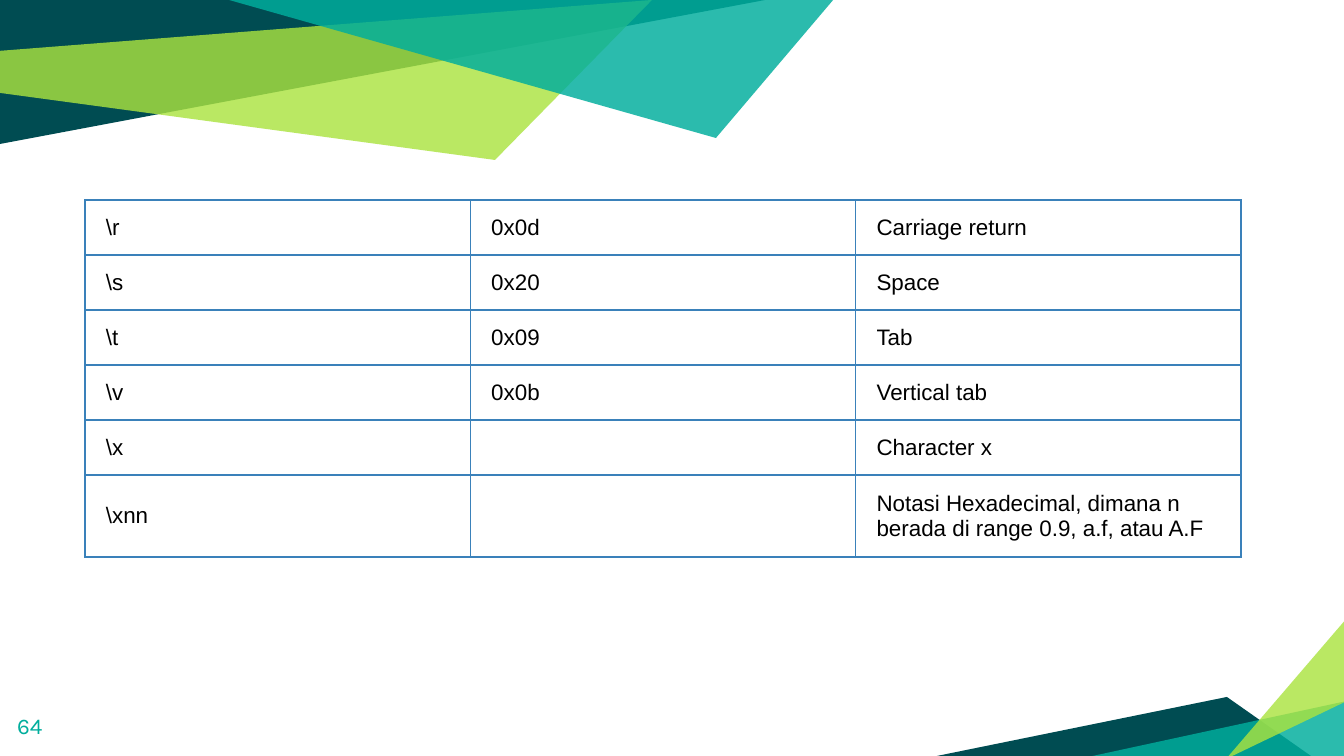
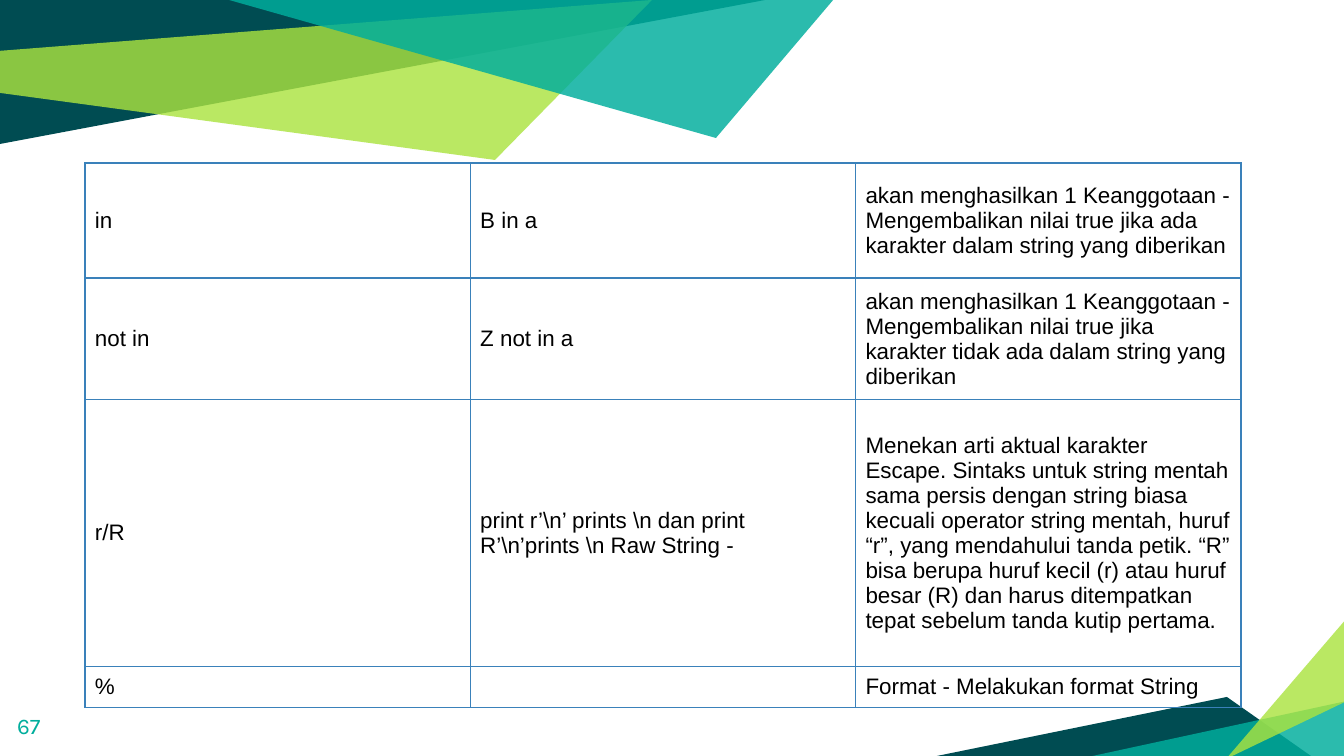
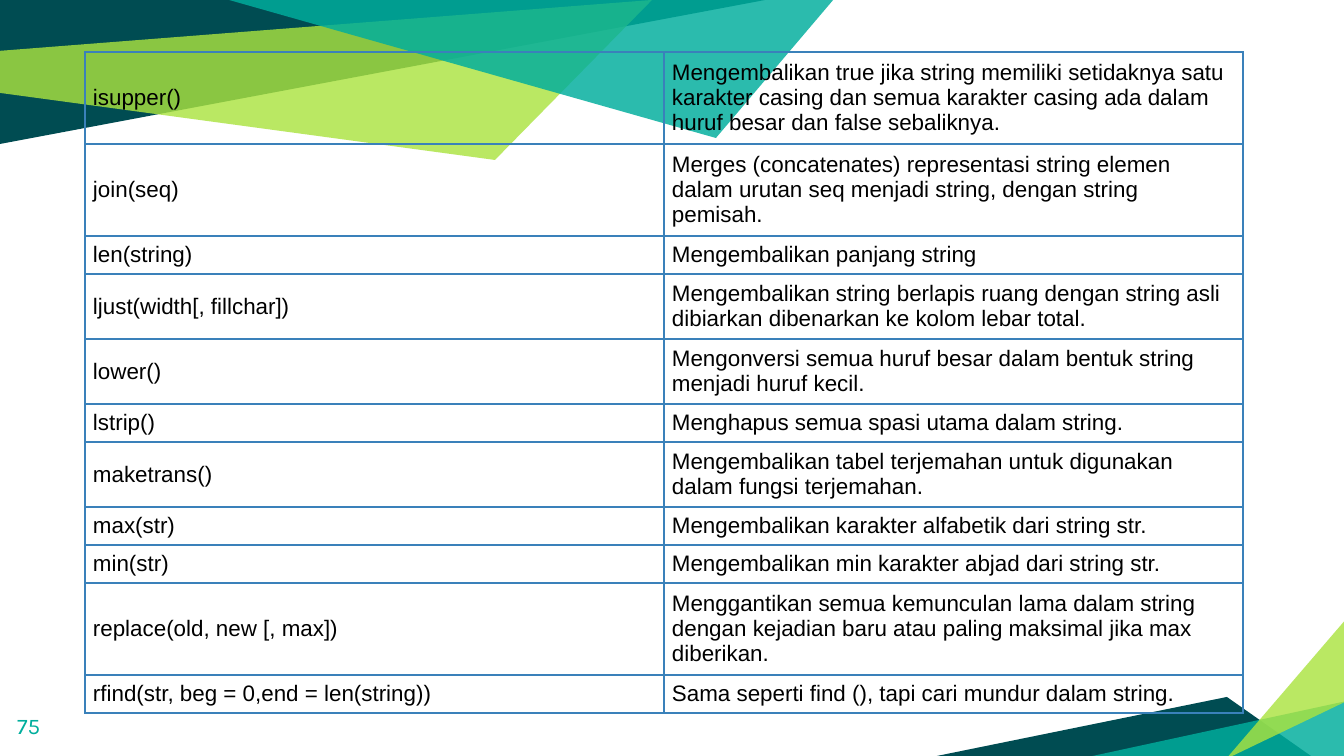
from dataclasses import dataclass

from lxml.etree import SubElement
from pptx import Presentation
from pptx.dml.color import RGBColor
from pptx.enum.text import MSO_ANCHOR as Anchor
from pptx.oxml.ns import qn
from pptx.util import Pt

EMU_PER_PX = 914400 / 134.4
SLIDE_SIZE = (1344, 756)


@dataclass(frozen=True)
class Theme:
    dark: str = "004C52"
    lime: str = "ABE33F"
    teal: str = "00AE9D"
    ink: str = "000000"
    grid: str = "3A81BA"
    body_font: str = "Arial"
    number_font: str = "Karla"
    text_size: int = 12
    grid_width: int = 1


THEME = Theme()

# Colour, opacity in percent, corners in px; from back to front.
FACETS = [
    (THEME.dark, 100, [(0, 0), (0, 144), (765, 0)]),
    (THEME.lime, 81, [(-1, 51), (0, 93), (495, 160), (652, 0)]),
    (THEME.dark, 100, [(937, 756), (1311, 756), (1227, 697)]),
    (THEME.teal, 83, [(1347, 701), (1347, 759), (1079, 759)]),
    (THEME.lime, 81, [(1347, 701), (1347, 618), (1226, 759)]),
    (THEME.teal, 83, [(229, 0), (716, 138), (834, -1), (818, 0)]),
]
NUMBER_BOX = (4, 697, 81, 58)
NUMBER_INSET = 13
TABLE_LEFT = 85

PAGES = [
    dict(number=64, top=200, width=1156, inset=(21, 13),
         heights=[55, 55, 55, 55, 55, 82],
         rows=[
             (r"\r", "0x0d", "Carriage return"),
             (r"\s", "0x20", "Space"),
             (r"\t", "0x09", "Tab"),
             (r"\v", "0x0b", "Vertical tab"),
             (r"\x", "", "Character x"),
             (r"\xnn", "", "Notasi Hexadecimal, dimana n berada di range 0.9, "
                           "a.f, atau A.F"),
         ]),
    dict(number=67, top=163, width=1156, inset=(10, 7),
         heights=[115, 121, 267, 41],
         rows=[
             ("in", "B in a",
              "akan menghasilkan 1 Keanggotaan - Mengembalikan nilai true "
              "jika ada karakter dalam string yang diberikan"),
             ("not in", "Z not in a",
              "akan menghasilkan 1 Keanggotaan - Mengembalikan nilai true "
              "jika karakter tidak ada dalam string yang diberikan"),
             ("r/R", r"print r’\n’ prints \n dan print R’\n’prints \n Raw String -",
              "Menekan arti aktual karakter Escape. Sintaks untuk string "
              "mentah sama persis dengan string biasa kecuali operator string "
              "mentah, huruf “r”, yang mendahului tanda petik. “R” bisa berupa "
              "huruf kecil (r) atau huruf besar (R) dan harus ditempatkan "
              "tepat sebelum tanda kutip pertama."),
             ("%", "", "Format - Melakukan format String"),
         ]),
    dict(number=75, top=52, width=1158, inset=(8, 5),
         heights=[92, 92, 38, 65, 65, 38, 65, 38, 38, 92, 38],
         rows=[
             ("isupper()",
              "Mengembalikan true jika string memiliki setidaknya satu "
              "karakter casing dan semua karakter casing ada dalam huruf besar "
              "dan false sebaliknya."),
             ("join(seq)",
              "Merges (concatenates) representasi string elemen dalam urutan "
              "seq menjadi string, dengan string pemisah."),
             ("len(string)", "Mengembalikan panjang string"),
             ("ljust(width[, fillchar])",
              "Mengembalikan string berlapis ruang dengan string asli "
              "dibiarkan dibenarkan ke kolom lebar total."),
             ("lower()",
              "Mengonversi semua huruf besar dalam bentuk string menjadi "
              "huruf kecil."),
             ("lstrip()", "Menghapus semua spasi utama dalam string."),
             ("maketrans()",
              "Mengembalikan tabel terjemahan untuk digunakan dalam fungsi "
              "terjemahan."),
             ("max(str)", "Mengembalikan karakter alfabetik dari string str."),
             ("min(str)", "Mengembalikan min karakter abjad dari string str."),
             ("replace(old, new [, max])",
              "Menggantikan semua kemunculan lama dalam string dengan kejadian "
              "baru atau paling maksimal jika max diberikan."),
             ("rfind(str, beg = 0,end = len(string))",
              "Sama seperti find (), tapi cari mundur dalam string."),
         ]),
]


def px(length):
    return round(length * EMU_PER_PX)


def write(frame, text, *, font=THEME.body_font, color=THEME.ink,
          size=THEME.text_size):
    """Fill a text frame; an empty one still keeps the line height of its size."""
    frame.word_wrap = True
    paragraph = frame.paragraphs[0]
    if not text:
        SubElement(paragraph._p, qn("a:endParaRPr"), sz=str(size * 100))
        return
    run = paragraph.add_run()
    run.text = text
    run.font.name = font
    run.font.size = Pt(size)
    run.font.color.rgb = RGBColor.from_string(color)


def set_insets(holder, across, down):
    holder.margin_left = holder.margin_right = px(across)
    holder.margin_top = holder.margin_bottom = px(down)


def add_facet(slide, color, opacity, corners):
    start, *others = corners
    outline = slide.shapes.build_freeform(*start, scale=EMU_PER_PX)
    outline.add_line_segments(others, close=True)
    facet = outline.convert_to_shape()
    facet.shadow.inherit = False
    facet.line.fill.background()
    facet.fill.solid()
    facet.fill.fore_color.rgb = RGBColor.from_string(color)
    if opacity < 100:
        tint = facet._element.spPr.find(".//" + qn("a:srgbClr"))
        SubElement(tint, qn("a:alpha"), val=str(opacity * 1000))


def add_page_number(slide, number):
    frame = slide.shapes.add_textbox(*map(px, NUMBER_BOX)).text_frame
    set_insets(frame, NUMBER_INSET, NUMBER_INSET)
    frame.vertical_anchor = Anchor.MIDDLE
    write(frame, str(number), font=THEME.number_font, color=THEME.teal)


def outline_cell(cell):
    properties = cell._tc.get_or_add_tcPr()
    for side in ("lnL", "lnR", "lnT", "lnB"):
        border = SubElement(properties, qn(f"a:{side}"),
                            w=str(Pt(THEME.grid_width)))
        paint = SubElement(border, qn("a:solidFill"))
        SubElement(paint, qn("a:srgbClr"), val=THEME.grid)


def add_reference_table(slide, rows, heights, top, width, inset):
    columns = len(rows[0])
    table = slide.shapes.add_table(
        len(rows), columns, px(TABLE_LEFT), px(top), px(width),
        px(sum(heights))).table
    table.first_row = table.horz_banding = False
    for column in table.columns:
        column.width = px(width / columns)
    for row, height, texts in zip(table.rows, heights, rows):
        row.height = px(height)
        for cell, text in zip(row.cells, texts):
            set_insets(cell, *inset)
            cell.vertical_anchor = Anchor.MIDDLE
            outline_cell(cell)
            cell.fill.background()
            write(cell.text_frame, text)


def main():
    deck = Presentation()
    deck.slide_width, deck.slide_height = map(px, SLIDE_SIZE)
    blank = deck.slide_layouts[6]
    for page in PAGES:
        slide = deck.slides.add_slide(blank)
        for facet in FACETS:
            add_facet(slide, *facet)
        add_page_number(slide, page["number"])
        add_reference_table(slide, page["rows"], page["heights"], page["top"],
                            page["width"], page["inset"])
    deck.save("out.pptx")


if __name__ == "__main__":
    main()
